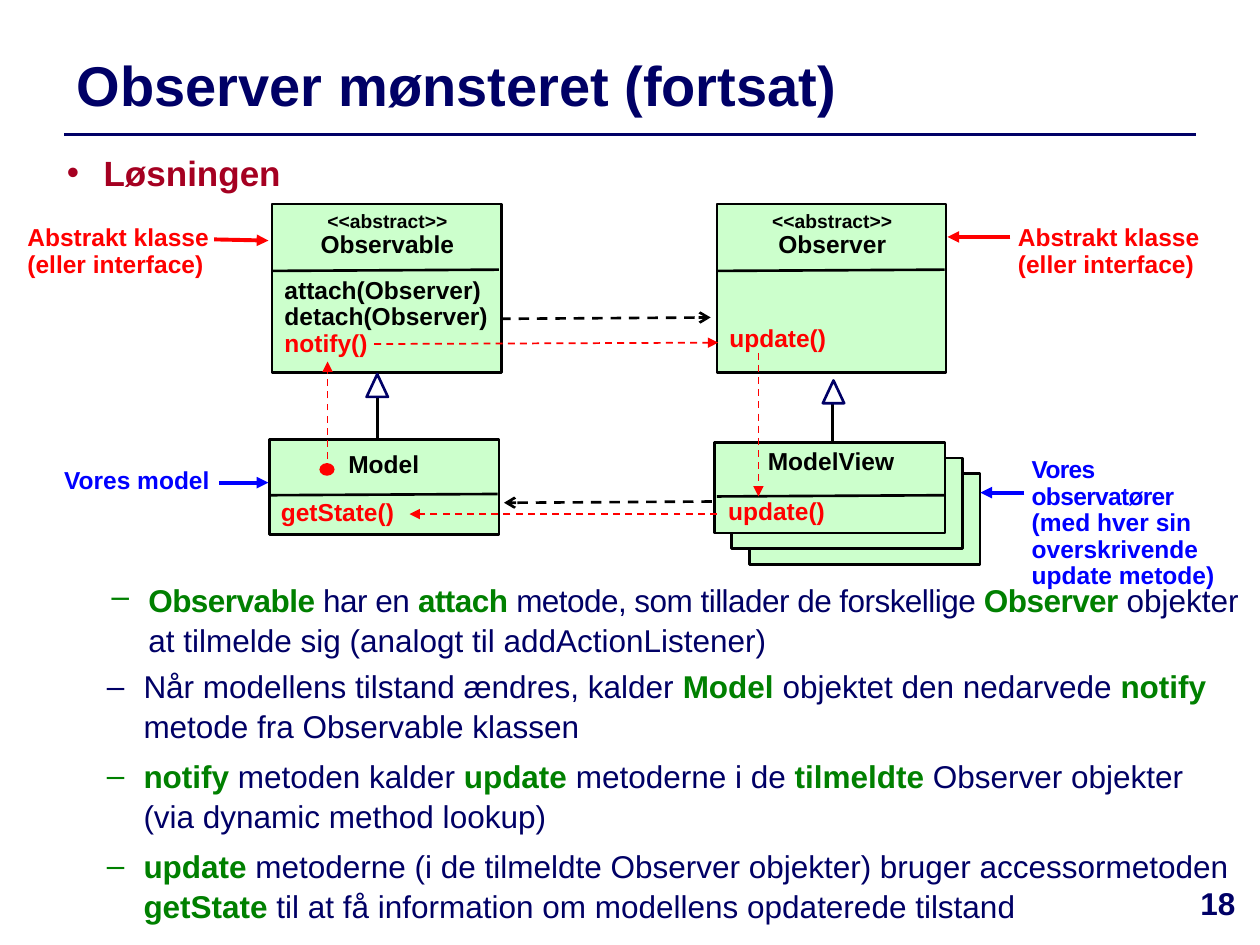
from dataclasses import dataclass

from lxml.etree import SubElement
from pptx import Presentation
from pptx.dml.color import RGBColor as RGB
from pptx.enum.dml import MSO_LINE
from pptx.enum.shapes import MSO_CONNECTOR, MSO_SHAPE as SHAPE
from pptx.enum.text import MSO_ANCHOR, MSO_AUTO_SIZE, PP_ALIGN
from pptx.oxml.ns import qn
from pptx.util import Pt


@dataclass(frozen=True)
class Theme:
    font: str = "Arial"
    navy: str = "000066"
    crimson: str = "A50021"
    green: str = "008000"
    pale: str = "CCFFCC"
    red: str = "FF0000"
    blue: str = "0000FF"
    black: str = "000000"
    white: str = "FFFFFF"
    title: int = 32
    heading: int = 20
    body: int = 18
    label: int = 14
    stereotype: int = 11


T = Theme()


def write(tf, rows, align=PP_ALIGN.LEFT, leading=0.9, bullet=None, left=0, level=0):
    tf.word_wrap = True
    tf.auto_size = MSO_AUTO_SIZE.NONE
    for i, runs in enumerate(rows):
        p = tf.add_paragraph() if i else tf.paragraphs[0]
        p.level, p.alignment, p.line_spacing = level, align, leading
        p.space_before = Pt(6 if i and bullet else 0)
        if bullet:
            pPr = p._p.get_or_add_pPr()
            pPr.set("marL", str(Pt(left)))
            pPr.set("indent", str(Pt(-21)))
            SubElement(pPr, qn("a:buChar")).set("char", bullet)
        for text, size, color, bold, spacing in runs:
            for n, part in enumerate(text.split("\n")):
                if n:
                    p.add_line_break()
                if not part:
                    continue
                r = p.add_run()
                r.text = part
                r.font.name, r.font.size, r.font.bold = T.font, Pt(size), bold
                r.font.color.rgb = RGB.from_string(color)
                if spacing:
                    r._r.get_or_add_rPr().set("spc", str(spacing))


def connect(x1, y1, x2, y2, color=T.black, width=1.5, dashed=False, head=None):
    c = s.shapes.add_connector(MSO_CONNECTOR.STRAIGHT, Pt(x1), Pt(y1), Pt(x2), Pt(y2))
    c.line.color.rgb = RGB.from_string(color)
    c.line.width = Pt(width)
    if dashed:
        c.line.dash_style = MSO_LINE.DASH
    if head:
        SubElement(c.line._get_or_add_ln(), qn("a:tailEnd")).set("type", head)
    SubElement(c._element.spPr, qn("a:effectLst"))


prs = Presentation()
prs.slide_width, prs.slide_height = Pt(720), Pt(540)
s = prs.slides.add_slide(prs.slide_layouts[3])
title, heading, body = s.placeholders

connect(36.7, 77, 683.3, 77, T.navy, 2)

placed = [
    (title, (36.7, 21, 572.4, 54)),
    (heading, (31, 82.8, 653, 79.2)),
    (body, (22.3, 376.6, 694.8, 203.8)),
]
for sp, (x, y, w, h) in placed:
    sp.left, sp.top, sp.width, sp.height = Pt(x), Pt(y), Pt(w), Pt(h)
    sp.text_frame.vertical_anchor = MSO_ANCHOR.TOP
title.text_frame.vertical_anchor = MSO_ANCHOR.MIDDLE
write(title.text_frame, [[("Observer mønsteret (fortsat)", T.title, T.navy, True, 0)]], leading=1)
write(heading.text_frame, [[("Løsningen", T.heading, T.crimson, True, 0)]], leading=1, bullet="•", left=21)

intro = s.shapes.add_textbox(Pt(25.2), Pt(327.6), Pt(694.8), Pt(51))
lists = [
    (intro, -30, [
        "*Observable* har en *attach *metode, som tillader de forskellige *Observer *"
        "|objekter at tilmelde sig (analogt til addActionListener)",
    ]),
    (body, 0, [
        "Når modellens tilstand ændres, kalder *Model *objektet den nedarvede *notify *"
        "metode fra Observable klassen",
        "*notify* metoden kalder *update* metoderne i de *tilmeldte *Observer objekter\n"
        "(via dynamic method lookup)",
        "*update* metoderne (i de tilmeldte Observer objekter) bruger accessormetoden *getState*"
        " til at få information om modellens opdaterede tilstand",
    ]),
]
for sp, spacing, items in lists:
    rows = []
    for item in items:
        runs = []
        for i, part in enumerate(item.split("*")):
            if part:
                strong = i % 2 == 1
                runs.append((part.lstrip("|"), T.body, T.green if strong else T.navy, strong,
                             0 if part.startswith("|") else spacing))
        rows.append(runs)
    write(sp.text_frame, rows, leading=1.05, bullet="–", left=52.5, level=1)

connect(215.6, 221, 215.6, 258.5)
connect(475.6, 224.6, 475.6, 252)

stack = [(408.2 + 10 * n, 252.7 + 9 * n, 131.8, 51.8) for n in (2, 1, 0)]
classes = [(155.5, 116.6, 131, 96.5), (409.7, 116.6, 131, 96.5), (154.1, 251.3, 131, 54)]
shapes = [(SHAPE.RECTANGLE, box, T.pale, T.black, 1.5) for box in stack + classes]
shapes += [
    (SHAPE.ISOSCELES_TRIANGLE, (209.5, 213.8, 12.2, 13), T.white, T.navy, 1.5),
    (SHAPE.ISOSCELES_TRIANGLE, (470.2, 217.4, 12.2, 13), T.white, T.navy, 1.5),
    (SHAPE.OVAL, (182.9, 265, 7.9, 6.5), T.red, T.red, 0.75),
]
for kind, box, fill, edge, width in shapes:
    sp = s.shapes.add_shape(kind, *map(Pt, box))
    sp.shadow.inherit = False
    sp.fill.solid()
    sp.fill.fore_color.rgb = RGB.from_string(fill)
    sp.line.color.rgb = RGB.from_string(edge)
    sp.line.width = Pt(width)

for x, y in [(155.5, 154.8), (410.2, 154.8), (154.8, 283), (409.7, 283.7)]:
    connect(x + 129.6, y - 0.7, x, y)

for ends in [(285.8, 182.2, 406.1, 181.4), (406.8, 286.6, 288, 287.3)]:
    connect(*ends, dashed=True, head="arrow")

for ends in [
    (409.7, 293.8, 234, 293.8),
    (213.8, 196.6, 410.4, 195.8),
    (187.2, 269.3, 187.2, 206.6),
    (433.4, 201.6, 433.4, 283.7),
]:
    connect(*ends, T.red, 1, True, "triangle")

for ends, color in [
    ((585.4, 281.5, 560.2, 281.5), T.blue),
    ((125.3, 275.8, 153.4, 275.8), T.blue),
    ((577.4, 135.4, 541.4, 135.4), T.red),
    ((122.4, 136.8, 153.4, 137.5), T.red),
]:
    connect(*ends, color, 2.25, head="triangle")

C, L = PP_ALIGN.CENTER, PP_ALIGN.LEFT
abstract = ("<<abstract>>", T.stereotype, T.black, True, 0)
update = [[("update()", T.label, T.red, True, 0)]]
interface = [[("Abstrakt klasse (eller interface)", T.label, T.red, True, 0)]]
labels = [
    ((166.3, 117.4, 110.2, 35.3), C, [[abstract], [("Observable", T.label, T.black, True, 0)]]),
    ((420.5, 117.4, 110.2, 35.3), C, [[abstract], [("Observer", T.label, T.black, True, 0)]]),
    ((155.5, 155.5, 133, 53.3), L, [
        [("attach(Observer)", T.label, T.black, True, 0)],
        [("detach(Observer)", T.label, T.black, True, 0)],
        [("notify()", T.label, T.red, True, 0)],
    ]),
    ((409.7, 182.9, 131, 22.3), L, update),
    ((409, 281.5, 131, 22.3), L, update),
    ((164.2, 254.9, 110.2, 22.3), C, [[("Model", T.label, T.black, True, 0)]]),
    ((419.8, 253.4, 110.2, 22.3), C, [[("ModelView", T.label, T.black, True, 0)]]),
    ((153.4, 282.2, 131, 22.3), L, [[("getState()", T.label, T.red, True, 0)]]),
    ((574.6, 125.3, 132.5, 38.2), L, interface),
    ((8.6, 125.3, 132.5, 38.2), L, interface),
    ((29.5, 264.2, 99.4, 22.3), L, [[("Vores model", T.label, T.blue, True, 0)]]),
    ((582.5, 257.8, 134.6, 68.4), L, [[
        ("Vores observatører\n", T.label, T.blue, True, -40),
        ("(med hver sin overskrivende update metode)", T.label, T.blue, True, 0),
    ]]),
    ((671.8, 504, 48.2, 36), C, [[("18", T.body, T.navy, True, 0)]]),
]
for box, align, rows in labels:
    write(s.shapes.add_textbox(*map(Pt, box)).text_frame, rows, align)

prs.save("out.pptx")
